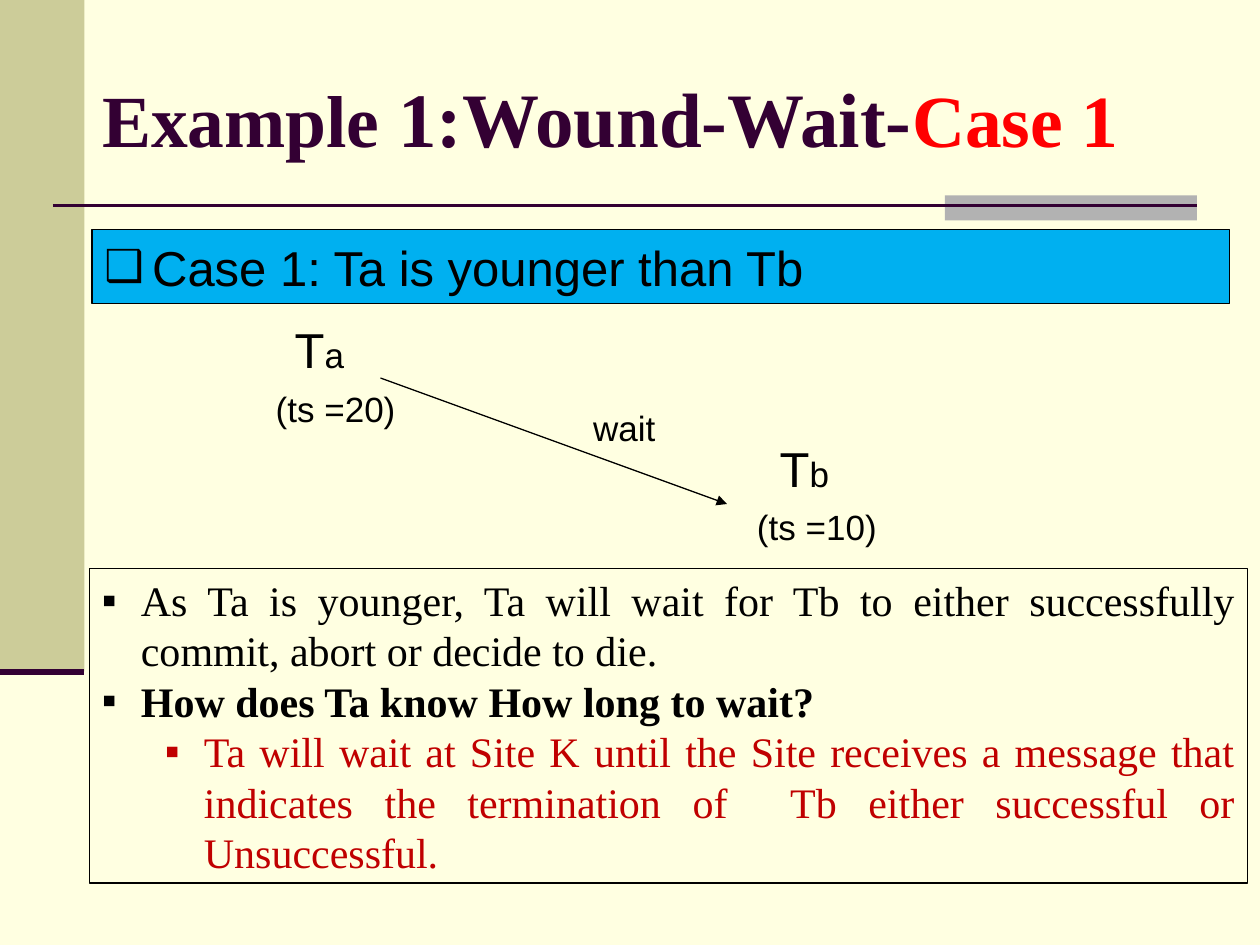
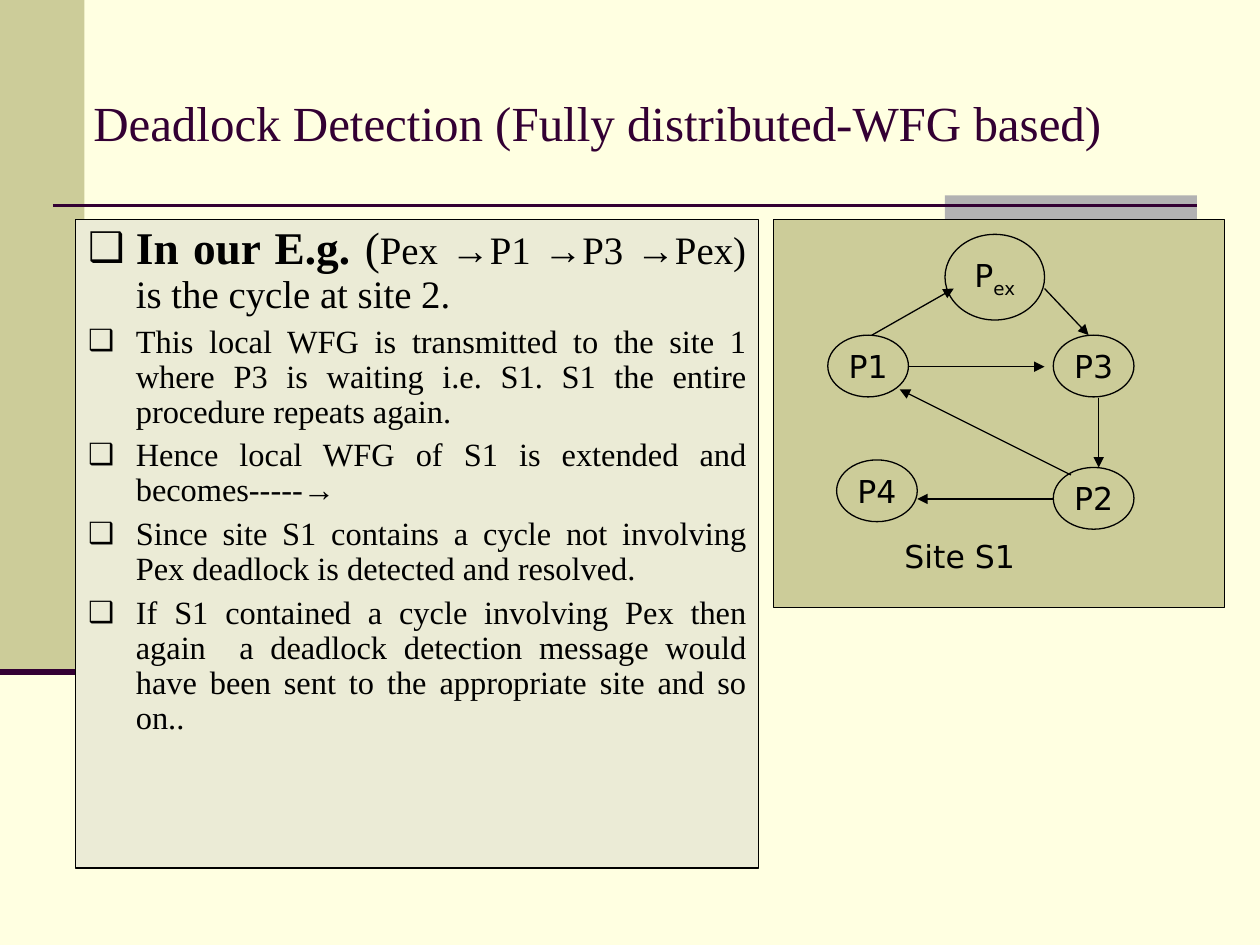
"""Build two slides on deadlock handling: a wound-wait case and a distributed wait-for graph."""
from lxml.etree import SubElement
from pptx import Presentation
from pptx.dml.color import RGBColor
from pptx.enum.shapes import MSO_CONNECTOR, MSO_SHAPE
from pptx.enum.text import MSO_ANCHOR, MSO_AUTO_SIZE, PP_ALIGN
from pptx.oxml.ns import qn
from pptx.util import Inches, Pt

COLORS = {
    "page": "FFFFE1", "olive": "CCCC99", "gray": "B2B2B2", "plum": "330033",
    "black": "000000", "red": "FF0000", "dark_red": "C00000",
    "sky": "00B0F0", "pale": "EBEBD6",
}
SERIF, SANS, GRAPH_FONT = "Times New Roman", "Arial", "DejaVu Sans"

WOUND_WAIT_TITLE = [
    ("Example ", {"size": 42, "bold": True}),
    ("1:Wound-Wait-", {"size": 44, "bold": True}),
    ("Case 1", {"size": 42, "bold": True, "color": "red"}),
]
CASE_HEADING = "Case 1: Ta is younger than Tb"
TRANSACTIONS = [
    ("a", "(ts =20)", (2.09, 2.49), 0.15),
    ("b", "(ts =10)", (5.91, 3.43), 0.18),
]
WAIT_LABEL = "wait"
WAIT_ARROW = ((3.02, 3), (5.77, 4))
WAIT_RULES = [
    ("As Ta is younger, Ta will wait for Tb to either successfully commit, "
     "abort or decide to die.", 0.31, {}),
    ("How does Ta know How long to wait?", 0.31, {"bold": True}),
    ("Ta will wait at Site K until the Site receives a message that indicates "
     "the termination of  Tb either successful or Unsuccessful.", 0.81,
     {"color": "dark_red"}),
]

DETECTION_TITLE = [("Deadlock Detection (Fully distributed-WFG based)", {"size": 28})]
ARROW_SIGN = ("→", {"font": SANS})
CYCLE = {"size": 22.2}
CYCLE_ARROW = ("→", {**CYCLE, "font": SANS})
DETECTION_STEPS = [
    [("In our E.g. ", {"size": 25.9, "bold": True}), ("(", {"size": 25.9}),
     ("Pex ", CYCLE), CYCLE_ARROW, ("P1 ", CYCLE), CYCLE_ARROW,
     ("P3 ", CYCLE), CYCLE_ARROW, ("Pex) is the cycle at site 2.", CYCLE)],
    [("This local WFG is transmitted to the site 1 where P3 is waiting i.e. S1. "
      "S1 the entire procedure repeats again.", {})],
    [("Hence local WFG of S1 is extended and becomes-----", {}), ARROW_SIGN],
    [("Since site S1 contains a cycle not involving Pex deadlock is detected "
      "and resolved.", {})],
    [("If S1 contained a cycle involving Pex then again  a deadlock detection "
      "message would have been sent to the appropriate site and so on..", {})],
]
SITE_LABEL = "Site S1"
PROCESS_SIZE, EXTERNAL_SIZE = (0.64, 0.49), (0.79, 0.68)
PROCESSES = [
    ([("P1", {})], (6.57, 2.66), PROCESS_SIZE),
    ([("P2", {})], (8.36, 3.71), PROCESS_SIZE),
    ([("P3", {})], (8.36, 2.66), PROCESS_SIZE),
    ([("P4", {})], (6.64, 3.65), PROCESS_SIZE),
    ([("P", {}), ("ex", {"subscript": True})], (7.5, 1.86), EXTERNAL_SIZE),
]
WAITS_FOR = [
    ((8.72, 3.16), (8.72, 3.71)), ((8.36, 3.96), (7.28, 3.96)),
    ((8.5, 3.77), (7.14, 3.09)), ((6.92, 2.66), (7.57, 2.29)),
    ((8.29, 2.29), (8.64, 2.66)), ((7.21, 2.91), (8.29, 2.91)),
]


def rgb(name):
    return RGBColor.from_string(COLORS[name])


def add_runs(paragraph, runs, **base):
    for text, changes in runs:
        style = {"color": "black", "bold": False, **base, **changes}
        run = paragraph.add_run()
        run.text = text
        run.font.name = style["font"]
        run.font.size = Pt(style["size"])
        run.font.bold = style["bold"]
        run.font.color.rgb = rgb(style["color"])
        if style.get("subscript"):
            run._r.get_or_add_rPr().set("baseline", "-25000")


def set_indent(paragraph, left, first=0.0):
    properties = paragraph._p.get_or_add_pPr()
    properties.set("marL", str(Inches(left)))
    properties.set("indent", str(Inches(first)))
    return properties


def add_bullet(paragraph, sign, left, hang, color="black", percent=100):
    properties = set_indent(paragraph, left, -hang)
    tint = SubElement(properties, qn("a:buClr"))
    SubElement(tint, qn("a:srgbClr"), val=COLORS[color])
    SubElement(properties, qn("a:buSzPct"), val=str(percent * 1000))
    SubElement(properties, qn("a:buFont"), typeface=SANS)
    SubElement(properties, qn("a:buChar"), char=sign)


def paragraphs(frame, count):
    return [frame.paragraphs[0]] + [frame.add_paragraph() for _ in range(count - 1)]


def add_panel(slide, place, fill=None, line="black", outline=MSO_SHAPE.RECTANGLE):
    panel = slide.shapes.add_shape(outline, *map(Inches, place))
    panel.shadow.inherit = False
    if fill:
        panel.fill.solid()
        panel.fill.fore_color.rgb = rgb(fill)
    else:
        panel.fill.background()
    if line:
        panel.line.color.rgb = rgb(line)
        panel.line.width = Pt(0.75)
    else:
        panel.line.fill.background()
    panel.text_frame.word_wrap = True
    panel.text_frame.vertical_anchor = MSO_ANCHOR.TOP
    return panel


def add_label(slide, place):
    frame = slide.shapes.add_textbox(*map(Inches, place)).text_frame
    frame.word_wrap = True
    return frame


def add_line(slide, start, end, color="black", width=0.75, arrow=False):
    line = slide.shapes.add_connector(MSO_CONNECTOR.STRAIGHT, *map(Inches, start + end))
    line.line.color.rgb = rgb(color)
    line.line.width = Pt(width)
    if arrow:
        SubElement(line.line._get_or_add_ln(), qn("a:tailEnd"), type="triangle")
    SubElement(line._element.spPr, qn("a:effectLst"))
    return line


def add_title(slide, place, runs):
    title = slide.shapes.title
    title.left, title.top, title.width, title.height = map(Inches, place)
    frame = title.text_frame
    frame.word_wrap = True
    frame.auto_size = MSO_AUTO_SIZE.NONE
    frame.vertical_anchor = MSO_ANCHOR.MIDDLE
    frame.paragraphs[0].alignment = PP_ALIGN.LEFT
    add_runs(frame.paragraphs[0], runs, font=SERIF, color="plum")


def decorate_layout(layout, slide):
    """Draw the shared bands and rules, then move them to the layout."""
    decorations = [
        add_panel(slide, (0, 0, 0.67, 5.33), "olive", line=None),
        add_panel(slide, (7.5, 1.55, 2, 0.2), "gray", line=None),
        add_line(slide, (0.42, 1.63), (9.5, 1.63), "plum", 1.5),
        add_line(slide, (0, 5.33), (0.67, 5.33), "plum", 3.5),
    ]
    for position, decoration in enumerate(decorations, start=2):
        layout.shapes.element.insert(position, decoration.element)


def build_wound_wait(slide):
    add_title(slide, (0.71, 0.3, 8.79, 1.25), WOUND_WAIT_TITLE)

    heading = add_panel(slide, (0.73, 1.82, 9.03, 0.59), "sky").text_frame
    heading.vertical_anchor = MSO_ANCHOR.MIDDLE
    heading.paragraphs[0].alignment = PP_ALIGN.JUSTIFY
    add_bullet(heading.paragraphs[0], "❑", 0.38, 0.38, percent=90)
    add_runs(heading.paragraphs[0], [(CASE_HEADING, {})], font=SANS, size=28)

    for suffix, timestamp, corner, shift in TRANSACTIONS:
        name, stamp = paragraphs(add_label(slide, corner + (1.4, 0.95)), 2)
        set_indent(name, shift)
        add_runs(name, [("T", {"size": 28}), (suffix, {})], font=SANS, size=20)
        stamp.space_before = Pt(5)
        add_runs(stamp, [(timestamp, {})], font=SANS, size=20)

    add_line(slide, *WAIT_ARROW, arrow=True)
    wait = add_label(slide, (4.51, 3.17, 0.89, 0.44))
    wait.vertical_anchor = MSO_ANCHOR.MIDDLE
    wait.paragraphs[0].alignment = PP_ALIGN.CENTER
    add_runs(wait.paragraphs[0], [(WAIT_LABEL, {})], font=SANS, size=20)

    rules = add_panel(slide, (0.71, 4.51, 9.19, 2.5)).text_frame
    for paragraph, (text, left, style) in zip(paragraphs(rules, len(WAIT_RULES)), WAIT_RULES):
        paragraph.alignment = PP_ALIGN.JUSTIFY
        add_bullet(paragraph, "▪", left, 0.31, style.get("color", "black"))
        add_runs(paragraph, [(text, style)], font=SERIF, size=24)


def build_detection(slide):
    add_title(slide, (0.64, 0.43, 9.36, 1.07), DETECTION_TITLE)

    steps = add_panel(slide, (0.6, 1.74, 5.42, 5.15), "pale").text_frame
    for index, paragraph in enumerate(paragraphs(steps, len(DETECTION_STEPS))):
        paragraph.alignment = PP_ALIGN.JUSTIFY
        add_bullet(paragraph, "❑", 0.38, 0.38, percent=90)
        paragraph.line_spacing = 0.9
        if index:
            paragraph.space_before = Pt(5)
        add_runs(paragraph, DETECTION_STEPS[index], font=SERIF, size=18.5)

    add_panel(slide, (6.14, 1.74, 3.58, 3.08), "olive")
    for runs, corner, size in PROCESSES:
        process = add_panel(slide, corner + size, "olive", outline=MSO_SHAPE.OVAL).text_frame
        process.word_wrap = False
        process.vertical_anchor = MSO_ANCHOR.MIDDLE
        process.paragraphs[0].alignment = PP_ALIGN.CENTER
        add_runs(process.paragraphs[0], runs, font=GRAPH_FONT, size=18)
    for start, end in WAITS_FOR:
        add_line(slide, start, end, arrow=True)
    site = add_label(slide, (7.08, 4.21, 1.29, 0.4))
    add_runs(site.paragraphs[0], [(SITE_LABEL, {})], font=GRAPH_FONT, size=18)


def main():
    deck = Presentation()
    deck.slide_width, deck.slide_height = Inches(10), Inches(7.5)
    page = deck.slide_master.background.fill
    page.solid()
    page.fore_color.rgb = rgb("page")
    layout = deck.slide_layouts[5]
    wound_wait, detection = (deck.slides.add_slide(layout) for _ in range(2))
    decorate_layout(layout, wound_wait)
    build_wound_wait(wound_wait)
    build_detection(detection)
    deck.save("out.pptx")


if __name__ == "__main__":
    main()
